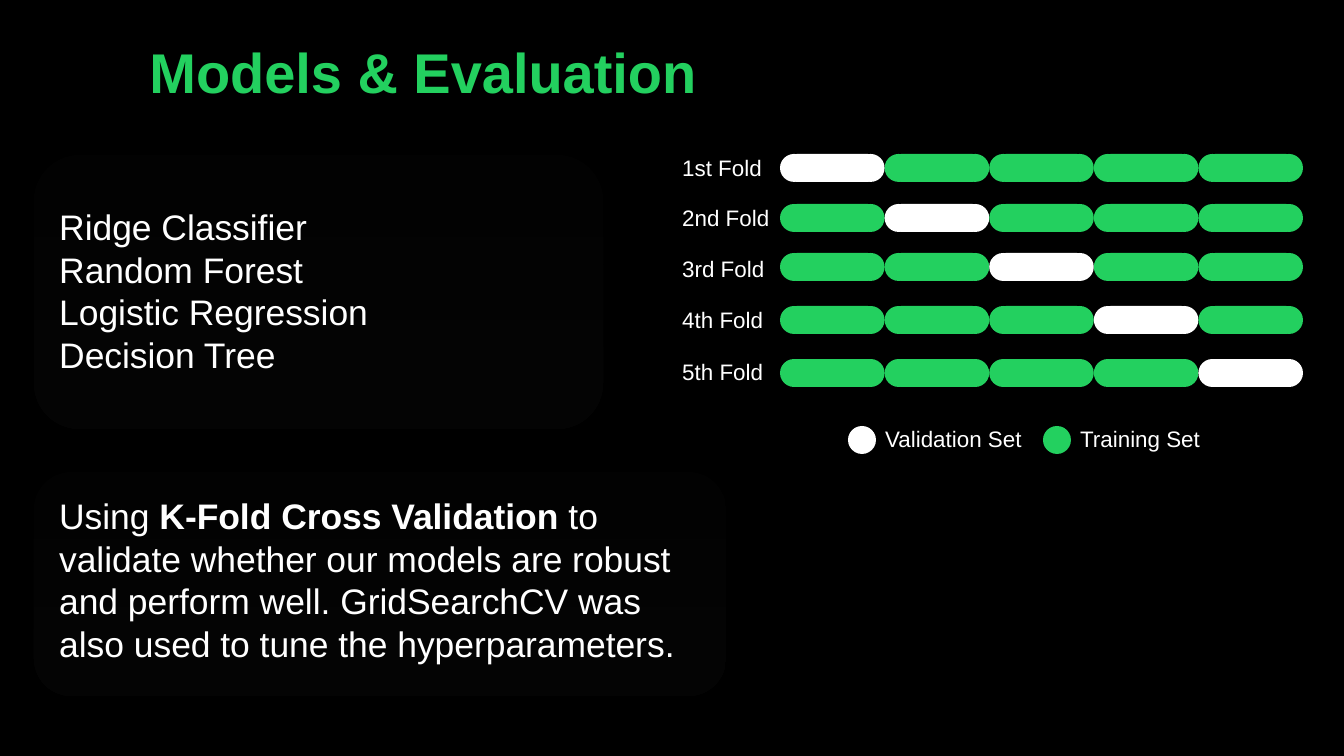
from lxml.etree import SubElement
from pptx import Presentation
from pptx.dml.color import RGBColor
from pptx.enum.shapes import MSO_SHAPE as Shape
from pptx.enum.text import MSO_ANCHOR as Anchor, MSO_AUTO_SIZE as Fit, PP_ALIGN as Align
from pptx.oxml.ns import qn
from pptx.util import Emu, Pt

BLACK = RGBColor(0x00, 0x00, 0x00)
WHITE = RGBColor(0xFF, 0xFF, 0xFF)
GREEN = RGBColor(0x23, 0xD0, 0x5F)
DARK = RGBColor(0x12, 0x12, 0x12)
GREY = RGBColor(0x25, 0x25, 0x25)

# Each paragraph is a list of (text, bold) runs.
TITLE = [[("Models & Evaluation", True)]]
MODELS = [[(name, False)] for name in (
    "Ridge Classifier", "Random Forest", "Logistic Regression", "Decision Tree")]
METHOD = [[
    ("Using ", False),
    ("K-Fold Cross Validation", True),
    (" to validate whether our models are robust and perform well. "
     "GridSearchCV was also used to tune the hyperparameters.", False),
]]
PANELS = [  # panel box, text box, paragraphs
    ((34, 155, 569, 274), (46, 192, 473, 199), MODELS),
    ((34, 472, 692, 224), (46, 481, 650, 231), METHOD),
]
FOLDS = [  # label, label top, bar top
    ("1st Fold", 141, 154),
    ("2nd Fold", 191, 204),
    ("3rd Fold", 242, 253),
    ("4th Fold", 293, 306),
    ("5th Fold", 345, 359),
]
LEGEND = [("Validation Set", 848, WHITE), ("Training Set", 1043, GREEN)]

LEFT, SPAN, DOT = 780, 523, 28
PITCH = SPAN / len(FOLDS)
SCALE = 914400 / 134.4


def px(*vals):
    return [Emu(round(val * SCALE)) for val in vals]


def draw(shapes, kind, box, color=None):
    item = shapes.add_shape(kind, *px(*box))
    item.shadow.inherit = False
    item.line.fill.background()
    if color is not None:
        item.fill.solid()
        item.fill.fore_color.rgb = color
    return item


def panel(shapes, box):
    """Draw a rounded panel with a faint vertical gradient."""
    item = draw(shapes, Shape.FLOWCHART_ALTERNATE_PROCESS, box)
    item.fill.gradient()
    item.fill.gradient_angle = 270
    for stop, color in zip(item.fill.gradient_stops, (DARK, GREY)):
        stop.color.rgb = color
    for node in item.element.spPr.iter(qn("a:srgbClr")):
        SubElement(node, qn("a:alpha"), val="12000")


def write(item, paras, size=12, color=WHITE, fit=Fit.SHAPE_TO_FIT_TEXT, lead=None):
    frame = item.text_frame
    frame.word_wrap = True
    frame.auto_size = fit
    frame.vertical_anchor = Anchor.TOP
    (frame.margin_left, frame.margin_top,
     frame.margin_right, frame.margin_bottom) = px(13.44, 13.44, 13.44, 13.44)
    for num, runs in enumerate(paras):
        para = frame.add_paragraph() if num else frame.paragraphs[0]
        para.alignment = Align.LEFT
        para.line_spacing = lead
        for text, bold in runs:
            run = para.add_run()
            run.text = text
            run.font.name = "Arial"
            run.font.size = Pt(size)
            run.font.bold = bold
            run.font.color.rgb = color


def label(shapes, text, box):
    write(shapes.add_textbox(*px(*box)), [[(text, False)]])


def pill(shapes, x, y, color):
    """Group a bar segment from two round ends and a body."""
    parts = shapes.add_group_shape().shapes
    for end in (x + PITCH - DOT, x):
        draw(parts, Shape.OVAL, (end, y, DOT, DOT), color)
    draw(parts, Shape.FLOWCHART_ALTERNATE_PROCESS, (x + 12, y, PITCH - 24, DOT), color)


def main():
    deck = Presentation()
    deck.slide_width, deck.slide_height = px(1344, 756)
    slide = deck.slides.add_slide(deck.slide_layouts[5])
    slide.background.fill.solid()
    slide.background.fill.fore_color.rgb = BLACK
    shapes = slide.shapes

    title = shapes.title
    title.left, title.top, title.width, title.height = px(136, 32, 589, 90)
    write(title, TITLE, size=30, color=GREEN, fit=Fit.NONE, lead=0.9)

    for box, area, paras in PANELS:
        panel(shapes, box)
        write(shapes.add_textbox(*px(*area)), paras, size=19)

    for row, (name, top, y) in enumerate(FOLDS):
        for col in range(len(FOLDS)):
            pill(shapes, LEFT + col * PITCH, y, WHITE if col == row else GREEN)
        label(shapes, name, (669, top, 124, 54))

    for name, x, color in LEGEND:
        label(shapes, name, (x + 24, 412, 167, 54))
        draw(shapes, Shape.OVAL, (x, 426, DOT, DOT), color)

    deck.save("out.pptx")


if __name__ == "__main__":
    main()
